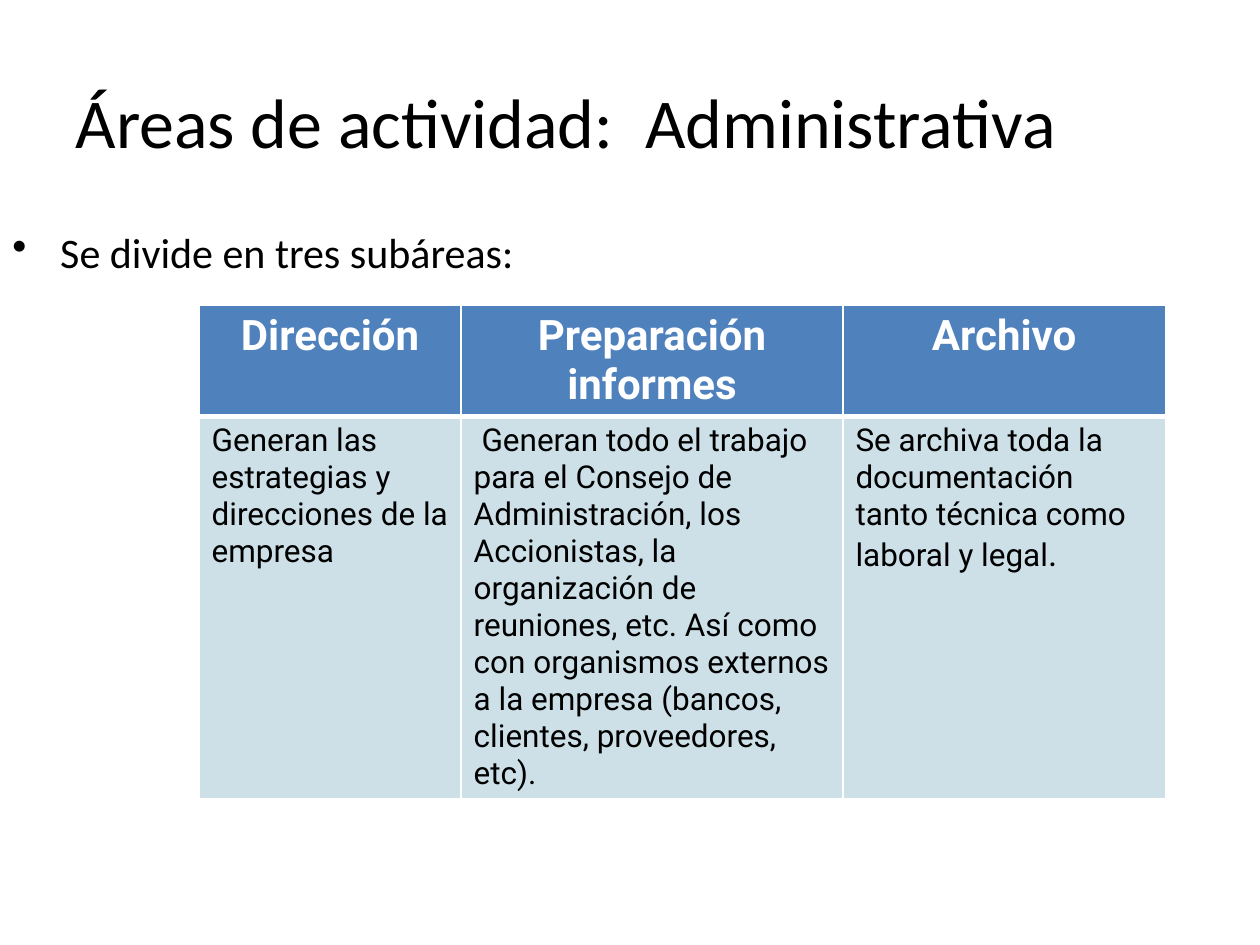
"""Build the slide on the three subareas of administrative activity."""
import pptx
import pptx.util
import pptx.dml.color
import pptx.enum.text
import pptx.oxml
import pptx.oxml.ns

Inches = pptx.util.Inches
Pt = pptx.util.Pt
ALIGN = pptx.enum.text.PP_ALIGN
ANCHOR = pptx.enum.text.MSO_ANCHOR

COLORS = {"text": "000000", "white": "FFFFFF", "header": "4F81BD", "body": "CDE0E8"}
TITLE = "Áreas de actividad:  Administrativa"
INTRO = "Se divide en tres subáreas:"
SUBAREAS = [
    ("Dirección", [("Generan las estrategias y direcciones de la empresa", 18)]),
    ("Preparación informes", [(
        " Generan todo el trabajo para el Consejo de Administración, los Accionistas, "
        "la organización de reuniones, etc. Así como con organismos externos a la "
        "empresa (bancos, clientes, proveedores, etc).", 18)]),
    ("Archivo", [("Se archiva toda la documentación tanto técnica como laboral y legal", 18),
                 (".", 20)]),
]
COLUMN_WIDTHS = [2.08, 3.03, 2.56]
ROW_HEIGHTS = [0.88, 3.02]
TITLE_FORMAT = {"name": "Calibri", "size": Pt(40), "bold": False}
INTRO_FORMAT = {"name": "Calibri", "size": Pt(24), "bold": False}
HEADER_FORMAT = {"name": "Roboto", "bold": True}
BODY_FORMAT = {"name": "Roboto", "bold": False}
FRAME_FORMAT = {"word_wrap": True, "auto_size": pptx.enum.text.MSO_AUTO_SIZE.NONE}


def rgb(name):
    return pptx.dml.color.RGBColor.from_string(COLORS[name])


def apply(target, values):
    for name, value in values.items():
        setattr(target, name, value)


def add_span(para, text, color, values):
    span = para.add_run()
    span.text = text
    apply(span.font, values)
    span.font.color.rgb = rgb(color)


def indent(para, bullet=None):
    properties = para._p.get_or_add_pPr()
    properties.set("marL", str(Inches(0.38)))
    properties.set("indent", str(-Inches(0.38)))
    if bullet:
        mark = pptx.oxml.parse_xml(
            f'<a:buChar {pptx.oxml.ns.nsdecls("a")} char="{bullet}"/>')
        properties.append(mark)


def set_borders(cell, widths):
    properties = cell._tc.get_or_add_tcPr()
    for position, (side, width) in enumerate(widths.items()):
        line = pptx.oxml.parse_xml(
            f'<a:ln{side} {pptx.oxml.ns.nsdecls("a")} w="{Pt(width)}"><a:solidFill>'
            f'<a:srgbClr val="{COLORS["white"]}"/></a:solidFill></a:ln{side}>')
        properties.insert(position, line)


def fill_cell(cell, fill, color, align, spans, values, borders):
    cell.fill.solid()
    cell.fill.fore_color.rgb = rgb(fill)
    set_borders(cell, borders)
    para = cell.text_frame.paragraphs[0]
    para.alignment = align
    for text, size in spans:
        add_span(para, text, color, {**values, "size": Pt(size)})


deck = pptx.Presentation()
apply(deck, {"slide_width": Inches(10), "slide_height": Inches(7.5)})
page = deck.slides.add_slide(deck.slide_layouts[5])

title = page.shapes.title
apply(title, {"left": Inches(0.5), "top": Inches(0.33),
              "width": Inches(9), "height": Inches(1.25)})
apply(title.text_frame, {**FRAME_FORMAT, "vertical_anchor": ANCHOR.MIDDLE})
title_para = title.text_frame.paragraphs[0]
title_para.alignment = ALIGN.LEFT
indent(title_para)
add_span(title_para, TITLE, "text", TITLE_FORMAT)

intro = page.shapes.add_textbox(Inches(0), Inches(1.75), Inches(9), Inches(4.95))
apply(intro.text_frame, FRAME_FORMAT)
intro_para = intro.text_frame.paragraphs[0]
intro_para.space_before = Pt(4.8)
indent(intro_para, "•")
add_span(intro_para, INTRO, "text", INTRO_FORMAT)

table = page.shapes.add_table(
    2, len(SUBAREAS), Inches(1.58), Inches(2.42),
    Inches(sum(COLUMN_WIDTHS)), Inches(sum(ROW_HEIGHTS))).table
for row, height in zip(table.rows, ROW_HEIGHTS):
    row.height = Inches(height)
for index, (heading, spans) in enumerate(SUBAREAS):
    table.columns[index].width = Inches(COLUMN_WIDTHS[index])
    fill_cell(table.cell(0, index), "header", "white", ALIGN.CENTER, [(heading, 24)],
              HEADER_FORMAT, {"L": 1, "R": 1, "T": 1, "B": 3})
    fill_cell(table.cell(1, index), "body", "text", ALIGN.LEFT, spans,
              BODY_FORMAT, {"L": 1, "R": 1, "T": 3, "B": 1})

deck.save("out.pptx")
